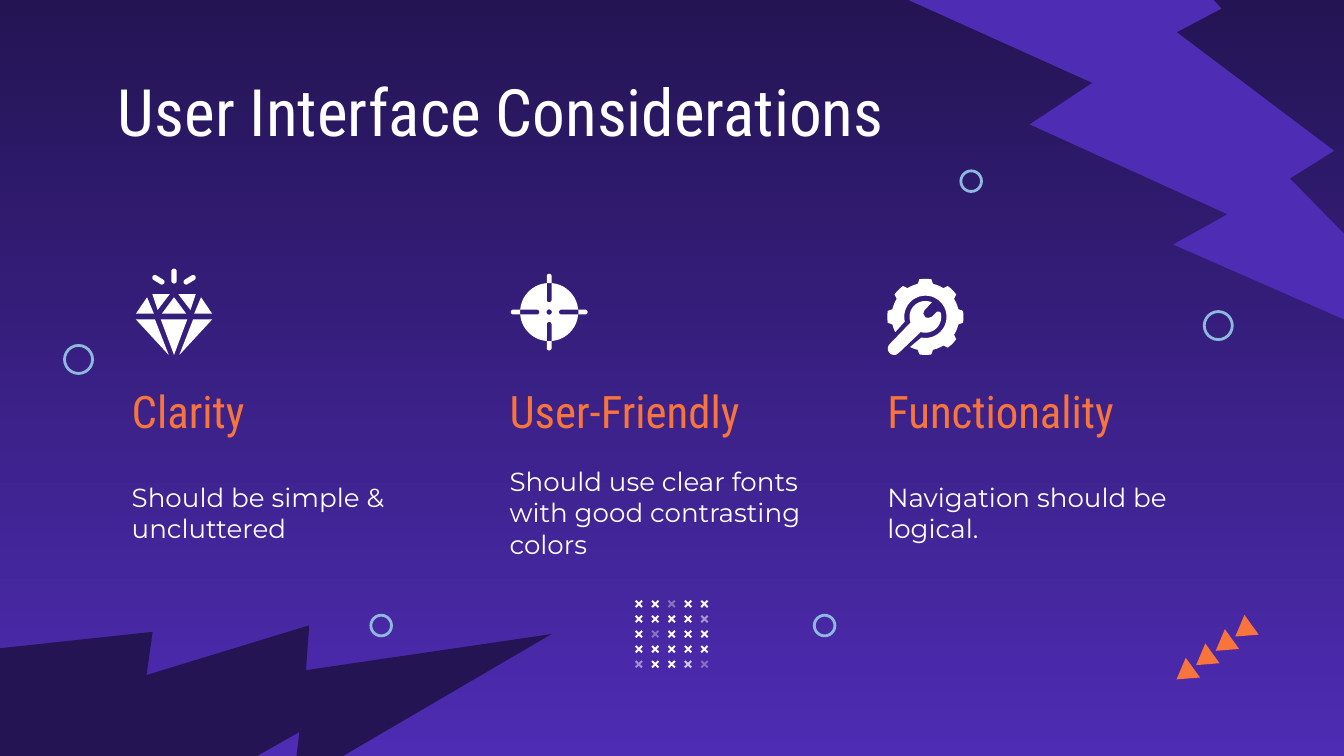
import math

from lxml import etree
from pptx import Presentation
from pptx.dml.color import RGBColor
from pptx.enum.shapes import MSO_SHAPE
from pptx.enum.text import MSO_ANCHOR
from pptx.oxml.ns import qn
from pptx.util import Cm, Pt

TOP, MIDDLE = MSO_ANCHOR.TOP, MSO_ANCHOR.MIDDLE
BOLT, TRIANGLE = MSO_SHAPE.LIGHTNING_BOLT, MSO_SHAPE.ISOSCELES_TRIANGLE
CIRCLE, PLUS = MSO_SHAPE.OVAL, MSO_SHAPE.CROSS

COLOURS = {
    "night": "241454",
    "violet": "4E2CB3",
    "orange": "F7743C",
    "sky": "8EB8DE",
    "white": "FFFFFF",
}
HEADING_FONT, BODY_FONT = "Roboto Condensed", "Montserrat"


def colour(name):
    return RGBColor.from_string(COLOURS[name])


def write_text(box, text, *, font, size, ink, anchor=MIDDLE):
    frame = box.text_frame
    frame.word_wrap = True
    frame.vertical_anchor = anchor
    frame.margin_left = frame.margin_right = Cm(0.25)
    frame.margin_top = frame.margin_bottom = Cm(0.25)
    span = frame.paragraphs[0].add_run()
    span.text = text
    span.font.name = font
    span.font.size = Pt(size)
    span.font.color.rgb = colour(ink)


# Outline geometry, in centimetres around an icon's centre
def arc(radius, start, end, centre=(0, 0)):
    steps = max(2, math.ceil(abs(end - start) / 8))
    angles = [math.radians(start + (end - start) * i / steps) for i in range(steps + 1)]
    return [(centre[0] + radius * math.cos(a), centre[1] + radius * math.sin(a))
            for a in angles]


def spin(points, degrees):
    c, s = math.cos(math.radians(degrees)), math.sin(math.radians(degrees))
    return [(x * c - y * s, x * s + y * c) for x, y in points]


def mirror(points):
    return [(-x, y) for x, y in points]


def capsule(start, end, radius):
    angle = math.degrees(math.atan2(end[1] - start[1], end[0] - start[0]))
    return (arc(radius, angle - 90, angle + 90, end)
            + arc(radius, angle + 90, angle + 270, start))


class SlideStyle:
    def __init__(self, page):
        self.page = page

    def background(self, top, bottom):
        fill = self.page.background.fill
        fill.gradient()
        fill.gradient_angle = 270
        for stop, name, position in zip(fill.gradient_stops, (top, bottom), (0, 1)):
            stop.color.rgb = colour(name)
            stop.position = position

    def paint(self, shape, fill=None, line=None, opacity=100):
        shape.shadow.inherit = False
        if fill:
            shape.fill.solid()
            shape.fill.fore_color.rgb = colour(fill)
        else:
            shape.fill.background()
        if line:
            shape.line.color.rgb = colour(line)
            shape.line.width = Pt(1.5)
        else:
            shape.line.fill.background()
        if opacity < 100:
            tint = shape.fill._xPr.find(qn("a:solidFill")).find(qn("a:srgbClr"))
            etree.SubElement(tint, qn("a:alpha")).set("val", str(opacity * 1000))

    def preset(self, kind, left, top, width, height, rotation=0, adjust=None, **look):
        shape = self.page.shapes.add_shape(kind, Cm(left), Cm(top), Cm(width), Cm(height))
        shape.rotation = rotation
        if adjust is not None:
            shape.adjustments[0] = adjust
        self.paint(shape, **look)

    def text(self, left, top, width, height, text, **style):
        box = self.page.shapes.add_textbox(Cm(left), Cm(top), Cm(width), Cm(height))
        write_text(box, text, **style)

    def outline(self, centre, *contours):
        placed = [[(Cm(centre[0] + x), Cm(centre[1] + y)) for x, y in points]
                  for points in contours]
        builder = self.page.shapes.build_freeform(*placed[0][0])
        for number, points in enumerate(placed):
            if number:
                builder.move_to(*points[0])
            builder.add_line_segments(points[1:], close=True)
        self.paint(builder.convert_to_shape(), fill="white")


def draw_diamond(style, centre):
    left_facets = [
        [(-0.41, 0), (-0.31, 0.3), (-0.08, 0)],
        [(-0.51, 0.06), (-0.72, 0.37), (-0.38, 0.37)],
        [(-0.72, 0.48), (-0.1, 1.15), (-0.36, 0.48)],
        capsule((-0.36, -0.31), (-0.23, -0.23), 0.05),
    ]
    middle_facets = [
        [(0, 0.06), (-0.23, 0.37), (0.23, 0.37)],
        [(-0.25, 0.48), (0, 1.15), (0.25, 0.48)],
        capsule((0, -0.43), (0, -0.25), 0.05),
    ]
    for facet in left_facets + [mirror(f) for f in left_facets] + middle_facets:
        style.outline(centre, facet)


def draw_target(style, centre):
    half = 0.045
    slot = [(half, 0.55), *arc(half, 0, -180, (0, 0.23)), (-half, 0.55)]
    quarter = arc(0.55, 5, 85) + slot
    bar = [(0.55, -half), *arc(half, -90, 90, (0.68, 0)), (0.55, half)]
    turns = (0, 90, 180, 270)
    disc = [point for turn in turns for point in spin(quarter, turn)]
    style.outline(centre, disc, arc(0.05, 360, 0))
    for turn in turns:
        style.outline(centre, spin(bar, turn))


def draw_gear_and_wrench(style, centre):
    # Seven teeth, with the eighth place left open for the handle
    gear = arc(0.64, 153, 167)
    for tooth in range(180, 451, 45):
        gear += arc(0.64, tooth - 13, tooth - 13)[:1]
        gear += arc(0.72, tooth - 9, tooth + 9)
        gear += arc(0.64, tooth + 13, min(tooth + 32, 477))
    gear += arc(0.4, 461, 167)
    style.outline(centre, gear)

    jaw = [(-0.02, -0.12), (-0.04, -0.06), (0, 0.01), (0.06, 0.02),
           (0.12, 0), (0.22, -0.1), (0.26, -0.1)]
    handle_end = arc(0.12, 45, 225, (-0.59, 0.6))
    style.outline(centre, arc(0.3, 159, 294) + jaw + arc(0.3, 345, 467) + handle_end)


def main():
    deck = Presentation()
    deck.slide_width, deck.slide_height = Cm(25.4), Cm(14.29)
    style = SlideStyle(deck.slides.add_slide(deck.slide_layouts[6]))

    # Background and bolts
    style.background("night", "violet")
    style.preset(BOLT, 17.04, -2.72, 10.59, 10.59, rotation=353.7, fill="violet")
    style.preset(BOLT, -0.38, 9.12, 9.14, 9.14, rotation=299.7, fill="night")

    # Title
    style.text(1.98, 1.09, 21.41, 1.63, "User Interface Considerations",
               font=HEADING_FONT, size=35, ink="white", anchor=TOP)

    # Three columns
    columns = [
        ("Clarity", "Should be simple & uncluttered"),
        ("User-Friendly", "Should use clear fonts with good contrasting colors"),
        ("Functionality", "Navigation should be logical."),
    ]
    for number, (heading, advice) in enumerate(columns):
        left = 2.24 + 7.14 * number
        style.text(left, 7.06, 5.41, 1.4, heading,
                   font=HEADING_FONT, size=24, ink="orange")
        style.text(left, 8.48, 6.63, 2.41, advice,
                   font=BODY_FONT, size=14, ink="white")

    # Icons
    draw_diamond(style, (3.29, 5.56))
    draw_target(style, (10.38, 5.9))
    draw_gear_and_wrench(style, (17.49, 5.99))

    # Diagonal row of triangles
    for number in range(4):
        style.preset(TRIANGLE, 23.27 - 0.37 * number, 11.73 + 0.27 * number,
                     0.46, 0.38, rotation=234.2, fill="orange")

    # Rings
    rings = [(7.01, 11.63, 0.39), (22.76, 5.89, 0.53), (1.22, 6.53, 0.53),
             (15.39, 11.63, 0.39), (18.16, 3.23, 0.39)]
    for left, top, size in rings:
        style.preset(CIRCLE, left, top, size, size, line="sky")

    # Grid of crosses, some of them faded
    faded = {(0, 2): 36, (1, 4): 53, (2, 1): 34, (4, 0): 48, (4, 3): 75, (4, 4): 33}
    for row in range(5):
        for column in range(5):
            style.preset(PLUS, 11.99 + 0.31 * column, 11.33 + 0.285 * row, 0.17, 0.17,
                         rotation=315, adjust=0.39, fill="white",
                         opacity=faded.get((row, column), 100))

    deck.save("out.pptx")


if __name__ == "__main__":
    main()
